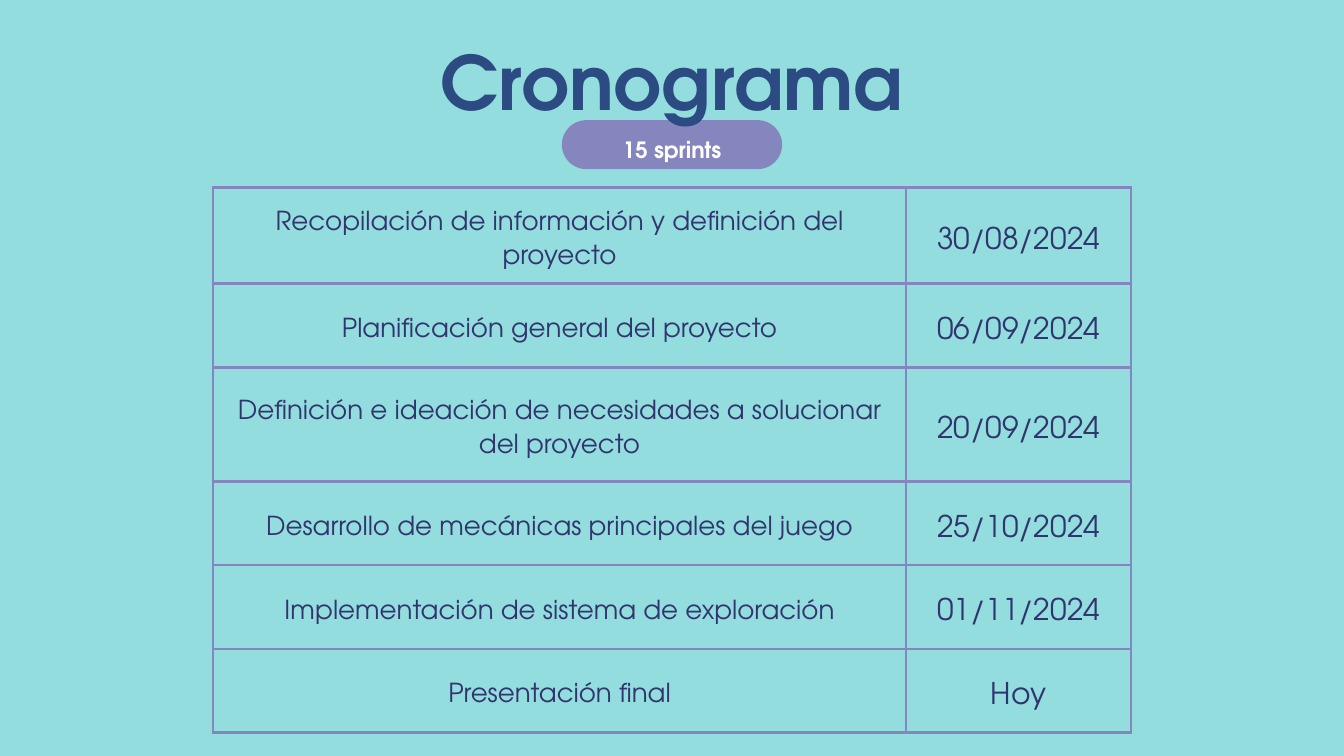
from lxml import etree
from pptx import Presentation
from pptx.dml.color import RGBColor
from pptx.enum.shapes import MSO_SHAPE
from pptx.enum.text import MSO_ANCHOR, MSO_AUTO_SIZE, PP_ALIGN
from pptx.oxml.ns import qn
from pptx.util import Pt

PILL = MSO_SHAPE.ROUNDED_RECTANGLE
MID, TOP = MSO_ANCHOR.MIDDLE, MSO_ANCHOR.TOP
GROW = MSO_AUTO_SIZE.SHAPE_TO_FIT_TEXT
CENTER = PP_ALIGN.CENTER

# Content
TITLE = "Cronograma"
BADGE = "15 sprints"
PLAN = [
    ("Recopilación de información y definición del proyecto", "30/08/2024"),
    ("Planificación general del proyecto", "06/09/2024"),
    ("Definición e ideación de necesidades a solucionar del proyecto", "20/09/2024"),
    ("Desarrollo de mecánicas principales del juego", "25/10/2024"),
    ("Implementación de sistema de exploración", "01/11/2024"),
    ("Presentación final", "Hoy"),
]


class Theme:
    font = "TeX Gyre Adventor"
    back, line = "94DDDE", "8686BF"
    title = {"size": 80, "color": "2B4B82", "bold": True, "lead": 0.94}
    badge = {"size": 24, "color": "FEFEFE", "bold": True, "lead": 1.4}
    task = {"size": 28, "color": "31356E", "bold": False, "lead": 1.4}
    date = {**task, "size": 32}


# Layout in points
WIDE, HIGH = 1440, 810
COLS = [743, 241]
ROWS = [103, 90, 122, 89.5, 90, 89.5]
GRID_TOP, PAD_X, PAD_Y, RULE = 201, 15, 4, 3
PILL_W, PILL_H, PILL_MID = 236, 52.5, 155
BADGE_H = 72
TITLE_TOP, TITLE_W, TITLE_H = 46.5, 576, 81.5


def rgb(code):
    return RGBColor.from_string(code)


def paint(item, code):
    item.fill.solid()
    item.fill.fore_color.rgb = rgb(code)


def write(frame, text, style):
    par = frame.paragraphs[0]
    par.alignment, par.line_spacing = CENTER, style["lead"]
    run = par.add_run()
    run.text = text
    look = {"name": Theme.font, "size": Pt(style["size"]), "bold": style["bold"]}
    for key, val in look.items():
        setattr(run.font, key, val)
    run.font.color.rgb = rgb(style["color"])


def pad(item, across, down):
    gaps = {"left": across, "right": across, "top": down, "bottom": down}
    for side, gap in gaps.items():
        setattr(item, "margin_" + side, Pt(gap))


def center(wide):
    return Pt((WIDE - wide) / 2)


def label(slide, text, style, top, wide, high, gap, **form):
    box = slide.shapes.add_textbox(center(wide), Pt(top), Pt(wide), Pt(high))
    frame = box.text_frame
    pad(frame, gap, gap)
    for key, val in {"word_wrap": True, **form}.items():
        setattr(frame, key, val)
    write(frame, text, style)


def border(cell):
    props = cell._tc.get_or_add_tcPr()
    for spot, side in enumerate(("lnL", "lnR", "lnT", "lnB")):
        edge = etree.Element(qn("a:" + side), w=str(Pt(RULE)))
        fill = etree.SubElement(edge, qn("a:solidFill"))
        etree.SubElement(fill, qn("a:srgbClr"), val=Theme.line)
        props.insert(spot, edge)


def badge(slide):
    pill = slide.shapes.add_shape(
        PILL, center(PILL_W), Pt(PILL_MID - PILL_H / 2), Pt(PILL_W), Pt(PILL_H))
    pill.adjustments[0] = 0.5
    pill.shadow.inherit = False
    paint(pill, Theme.line)
    pill.line.fill.background()
    label(slide, BADGE, Theme.badge, PILL_MID - BADGE_H / 2, PILL_W, BADGE_H, 4,
          vertical_anchor=MID)


def grid(slide):
    wide = sum(COLS)
    table = slide.shapes.add_table(
        len(PLAN), len(COLS), center(wide), Pt(GRID_TOP), Pt(wide), Pt(sum(ROWS))).table
    table.first_row = table.horz_banding = False
    for col, size in zip(table.columns, COLS):
        col.width = Pt(size)
    for row, size, texts in zip(table.rows, ROWS, PLAN):
        row.height = Pt(size)
        for cell, text, style in zip(row.cells, texts, (Theme.task, Theme.date)):
            cell.fill.background()
            cell.vertical_anchor = MID
            pad(cell, PAD_X, PAD_Y)
            border(cell)
            write(cell.text_frame, text, style)


def main():
    deck = Presentation()
    deck.slide_width, deck.slide_height = Pt(WIDE), Pt(HIGH)
    slide = deck.slides.add_slide(deck.slide_layouts[6])
    paint(slide.background, Theme.back)
    badge(slide)
    grid(slide)
    label(slide, TITLE, Theme.title, TITLE_TOP, TITLE_W, TITLE_H, 0,
          vertical_anchor=TOP, auto_size=GROW)
    deck.save("out.pptx")


if __name__ == "__main__":
    main()
